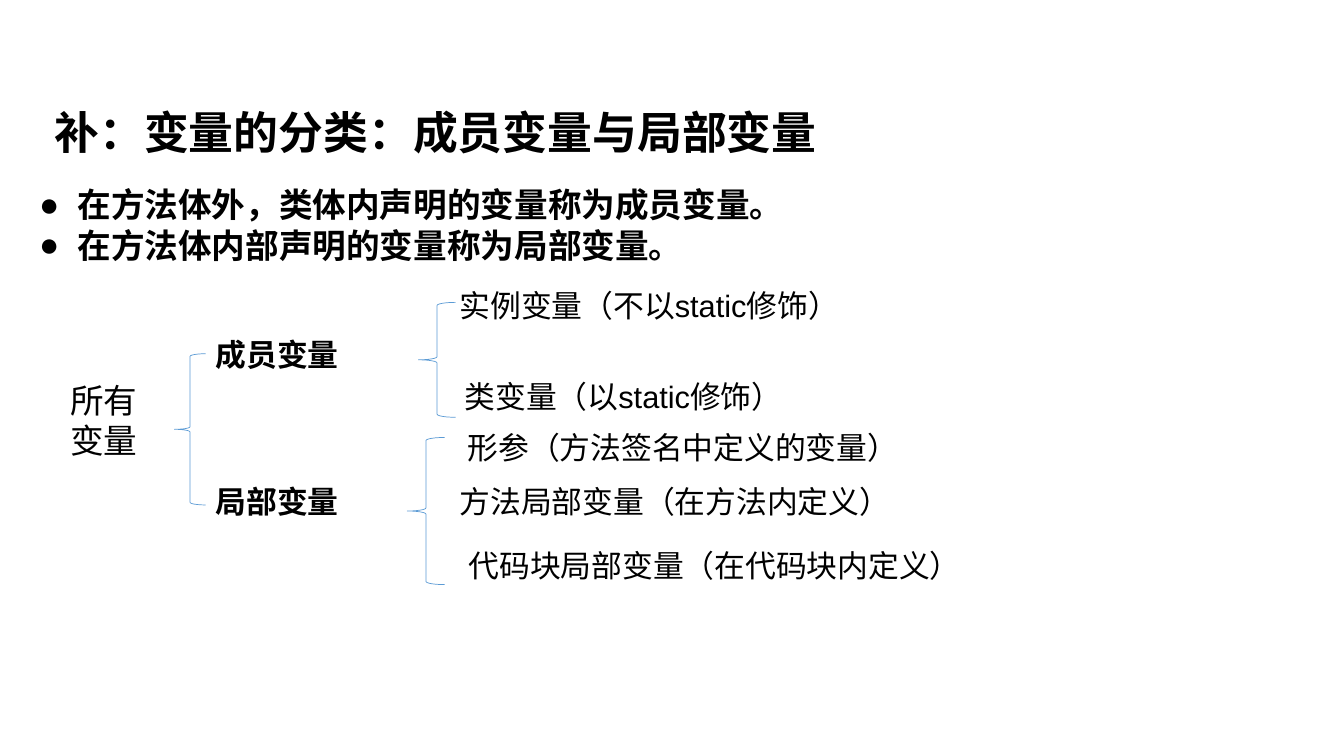
from dataclasses import dataclass

from lxml import etree
from pptx import Presentation
from pptx import util as u
from pptx.dml.color import RGBColor
from pptx.enum import shapes, text
from pptx.oxml.ns import qn


@dataclass(frozen=True)
class Theme:
    font: str = "Arial"
    ink: RGBColor = RGBColor(0, 0, 0)
    line: RGBColor = RGBColor(0x5B, 0x9B, 0xD5)
    title: int = 32
    body: int = 24
    label: int = 22


@dataclass(frozen=True)
class Label:
    x: float
    y: float
    w: float
    h: float
    lines: tuple[str, ...]
    size: int
    bold: bool = False
    bullet: bool = False


@dataclass(frozen=True)
class Brace:
    x: float
    y: float
    w: float
    h: float


THEME = Theme()

TITLE = Label(0.44, 0.99, 10.71, 0.64, ("补：变量的分类：成员变量与局部变量",),
              THEME.title, bold=True)
POINTS = Label(0.29, 1.78, 12.18, 4.31,
               ("在方法体外，类体内声明的变量称为成员变量。",
                "在方法体内部声明的变量称为局部变量。"),
               THEME.body, bold=True, bullet=True)
ROOT = Label(0.6, 3.72, 1.23, 0.91, ("所有", "变量"), THEME.body)
KINDS = [Label(2.04, y, 2.21, 0.47, (name,), THEME.label, bold=True)
         for y, name in ((3.28, "成员变量"), (4.74, "局部变量"))]
LEAVES = [Label(x, y, 7.16, 0.47, (name,), THEME.label)
          for x, y, name in (
              (4.46, 2.8, "实例变量（不以static修饰）"),
              (4.51, 3.7, "类变量（以static修饰）"),
              (4.54, 4.2, "形参（方法签名中定义的变量）"),
              (4.46, 4.74, "方法局部变量（在方法内定义）"),
              (4.55, 5.37, "代码块局部变量（在代码块内定义）"))]
BRACES = [Brace(1.73, 3.51, 0.31, 1.5),
          Brace(4.15, 3, 0.37, 1.14),
          Brace(4.04, 4.34, 0.37, 1.46)]


def add_dot(para) -> None:
    """Give a paragraph a round bullet with a hanging indent."""
    props = para._p.get_or_add_pPr()
    props.set("marL", str(u.Inches(0.38)))
    props.set("indent", str(-u.Inches(0.38)))
    etree.SubElement(props, qn("a:buFont"), typeface=THEME.font)
    etree.SubElement(props, qn("a:buChar"), char="●")


def fill_text(shape, label: Label) -> None:
    frame = shape.text_frame
    frame.text = "\n".join(label.lines)
    frame.word_wrap = True
    frame.auto_size = text.MSO_AUTO_SIZE.NONE
    frame.vertical_anchor = text.MSO_ANCHOR.TOP
    for para in frame.paragraphs:
        para.alignment = text.PP_ALIGN.LEFT
        font = para.font
        font.name, font.size = THEME.font, u.Pt(label.size)
        font.bold = label.bold
        font.color.rgb = THEME.ink
        if label.bullet:
            add_dot(para)


def box(part: Label | Brace) -> list[int]:
    return [u.Inches(n) for n in (part.x, part.y, part.w, part.h)]


def add_label(slide, label: Label) -> None:
    fill_text(slide.shapes.add_textbox(*box(label)), label)


def add_brace(slide, brace: Brace) -> None:
    shape = slide.shapes.add_shape(shapes.MSO_SHAPE.LEFT_BRACE, *box(brace))
    shape.shadow.inherit = False
    shape.fill.background()
    shape.line.color.rgb = THEME.line
    shape.line.width = u.Pt(0.5)


def main() -> None:
    deck = Presentation()
    deck.slide_width, deck.slide_height = u.Inches(13.33), u.Inches(7.5)
    slide = deck.slides.add_slide(deck.slide_layouts[5])

    # Title
    title = slide.shapes.title
    title.left, title.top, title.width, title.height = box(TITLE)
    fill_text(title, TITLE)

    # Definitions
    add_label(slide, POINTS)

    # Tree of variable kinds
    for brace in BRACES:
        add_brace(slide, brace)
    for label in (ROOT, *KINDS, *LEAVES):
        add_label(slide, label)

    deck.save("out.pptx")


if __name__ == "__main__":
    main()
